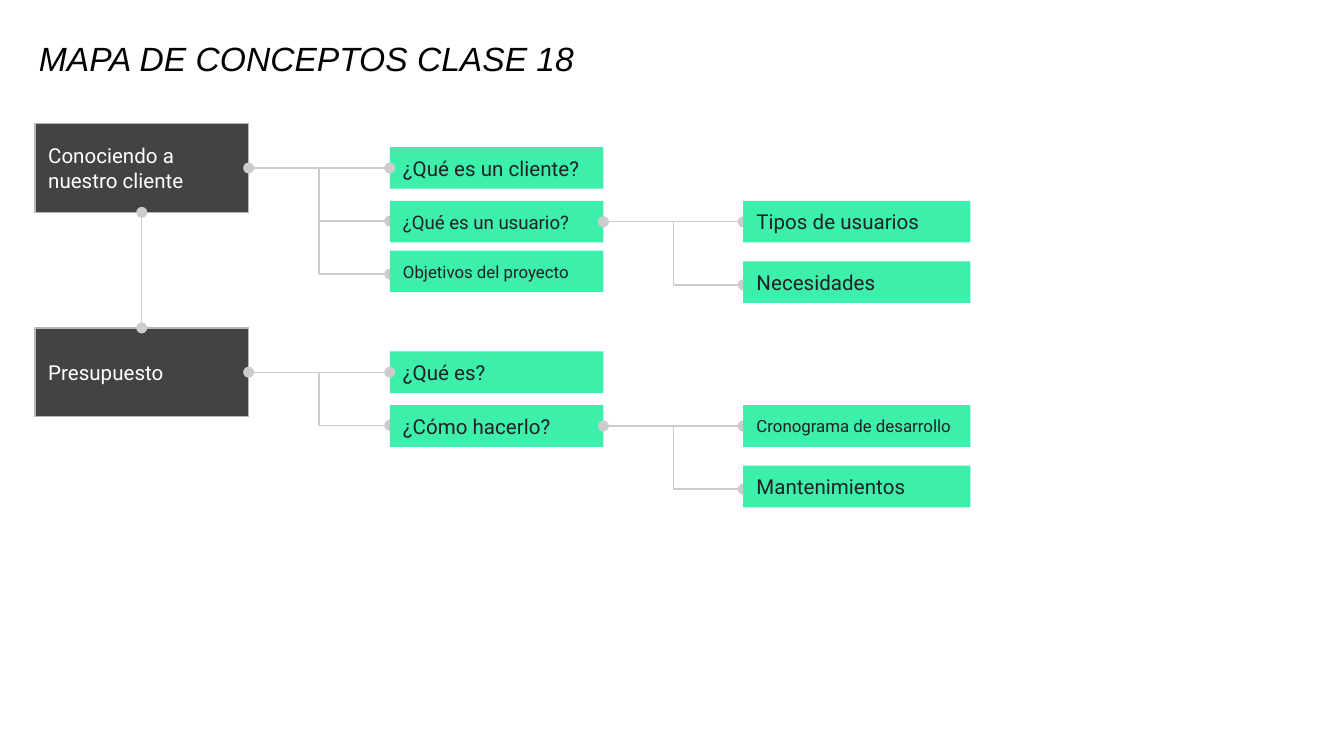
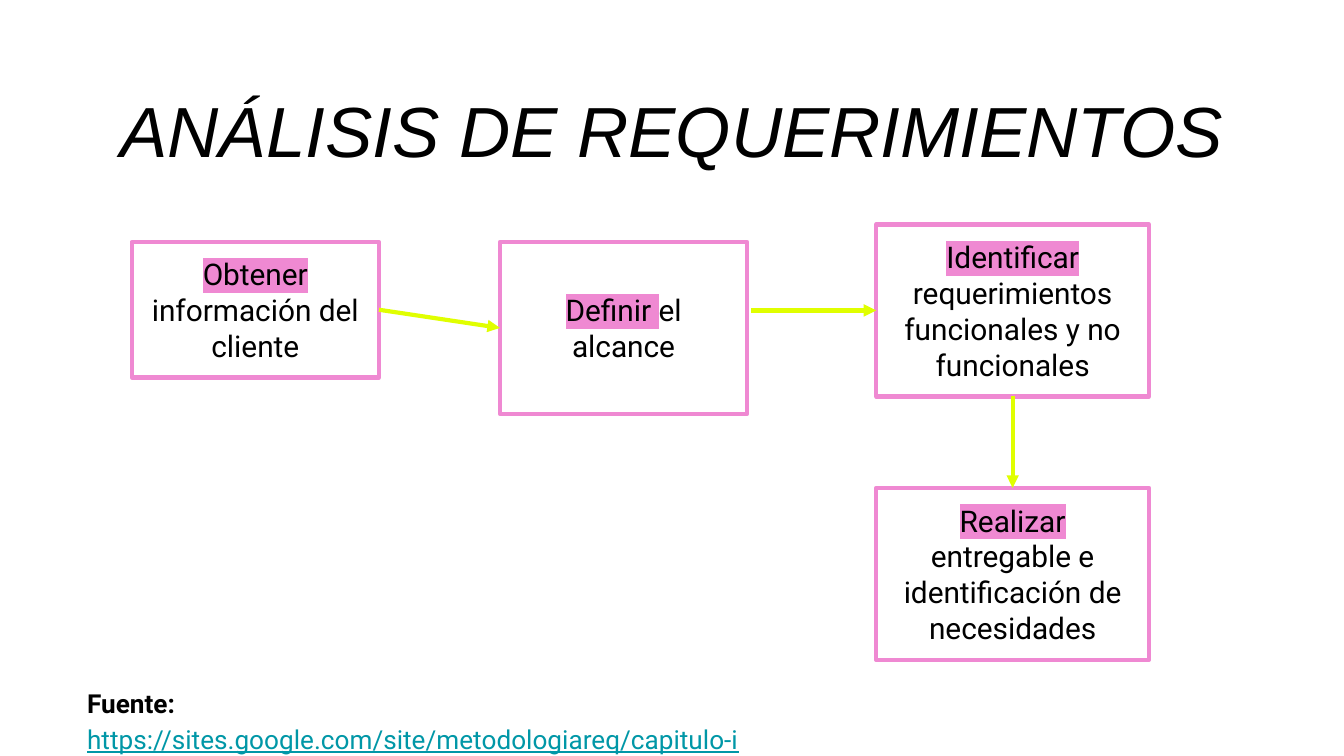
from dataclasses import dataclass

from lxml.etree import SubElement
from pptx import Presentation
from pptx.dml.color import RGBColor
from pptx.enum.shapes import MSO_CONNECTOR as Link, MSO_SHAPE as Shape
from pptx.enum.text import MSO_ANCHOR as Anchor, MSO_AUTO_SIZE as AutoSize, PP_ALIGN as Align
from pptx.oxml.ns import qn
from pptx.util import Inches, Pt


@dataclass(frozen=True)
class Theme:
    title_font: str = "Arial"
    body_font: str = "Roboto"
    black: str = "000000"
    white: str = "FFFFFF"
    topic: str = "434343"
    topic_edge: str = "B7B7B7"
    concept: str = "3CEFAB"
    concept_ink: str = "222222"
    branch: str = "CCCCCC"
    step: str = "EF89D2"
    arrow: str = "E0FF00"
    url: str = "0097A7"
    thin: float = 0.75
    thick: float = 2.25
    map_title: int = 18
    process_title: int = 38
    map_text: int = 11
    step_text: int = 16
    source_text: int = 14
    inset: float = 0.1


THEME = Theme()
WIDTH = 10
HEIGHT = WIDTH * 9 / 16

MAP_TITLE = "MAPA DE CONCEPTOS CLASE 18"
TOPICS = [
    ("Conociendo a nuestro cliente", [
        ("¿Qué es un cliente?", 11, []),
        ("¿Qué es un usuario?", 10, [("Tipos de usuarios", 11), ("Necesidades", 11)]),
        ("Objetivos del proyecto", 9, []),
    ]),
    ("Presupuesto", [
        ("¿Qué es?", 11, []),
        ("¿Cómo hacerlo?", 11, [("Cronograma de desarrollo", 9), ("Mantenimientos", 11)]),
    ]),
]
TOPIC_X, CONCEPT_X, DETAIL_X = 0.26, 2.9, 5.53
TOPIC_W, DETAIL_W = 1.59, 1.69
TOPIC_H, CONCEPT_H = 0.66, 0.31
FIRST_AXIS, TOPIC_PITCH = 1.25, 1.52
CONCEPT_DROPS, CONCEPT_LINE_PITCH = (0, 0.4, 0.77), 0.79 / 2
DETAIL_PITCH, DETAIL_LINE_PITCH = 0.45, 0.47

PROCESS_TITLE = "ANÁLISIS DE REQUERIMIENTOS"
STEPS = [
    ("Obtener ", "información del cliente", (0.98, 1.8, 1.84, 1.01)),
    ("Definir ", "el alcance", (3.72, 1.8, 1.84, 1.28)),
    ("Identificar ", "requerimientos funcionales y no funcionales", (6.52, 1.67, 2.03, 1.28)),
    ("Realizar", " entregable e identificación de necesidades", (6.52, 3.63, 2.03, 1.28)),
]
SOURCE = ("Fuente: ", "https://sites.google.com/site/metodologiareq/capitulo-i")
TOP, LEFT, BOTTOM, RIGHT = range(4)


def rgb(code):
    return RGBColor.from_string(code)


def style(run, size, color, font=THEME.body_font):
    run.font.size = Pt(size)
    run.font.name = font
    run.font.color.rgb = rgb(color)
    return run.font


def highlight(run, color):
    mark = SubElement(run.font._element, qn("a:highlight"))
    SubElement(mark, qn("a:srgbClr")).set("val", color)
    run.font._element.find(qn("a:solidFill")).addnext(mark)


def prepare(frame, anchor):
    frame.word_wrap = True
    frame.auto_size = AutoSize.NONE
    frame.vertical_anchor = anchor
    frame.margin_left = frame.margin_right = Inches(THEME.inset)
    frame.margin_top = frame.margin_bottom = Inches(THEME.inset)
    return frame


def add_titled_slide(deck, wording, place, size, align, spacing=1.0):
    slide = deck.slides.add_slide(deck.slide_layouts[5])
    title = slide.shapes.title
    title.left, title.top, title.width, title.height = map(Inches, place)
    frame = prepare(title.text_frame, Anchor.BOTTOM)
    frame.text = wording
    paragraph = frame.paragraphs[0]
    paragraph.alignment = align
    paragraph.line_spacing = spacing
    style(paragraph.runs[0], size, THEME.black, THEME.title_font).italic = True
    return slide


def add_box(slide, place, fill=None, edge=None, weight=THEME.thin):
    box = slide.shapes.add_shape(Shape.RECTANGLE, *map(Inches, place))
    box.shadow.inherit = False
    if fill:
        box.fill.solid()
        box.fill.fore_color.rgb = rgb(fill)
    else:
        box.fill.background()
    if edge:
        box.line.color.rgb = rgb(edge)
        box.line.width = Pt(weight)
    else:
        box.line.fill.background()
    prepare(box.text_frame, Anchor.MIDDLE)
    return box


def add_label(slide, wording, left, axis, width, height, size, ink, fill, edge=None):
    box = add_box(slide, (left, axis - height / 2, width, height), fill, edge)
    box.text_frame.text = wording
    paragraph = box.text_frame.paragraphs[0]
    paragraph.alignment = Align.LEFT
    style(paragraph.runs[0], size, ink)


def add_link(slide, start, end, color, weight, tail, head=None, kind=Link.STRAIGHT):
    link = slide.shapes.add_connector(kind, *map(Inches, (*start, *end)))
    link.line.color.rgb = rgb(color)
    link.line.width = Pt(weight)
    properties = link._element.spPr
    for tag, ending in (("a:headEnd", head), ("a:tailEnd", tail)):
        if ending:
            SubElement(properties.find(qn("a:ln")), qn(tag)).set("type", ending)
    SubElement(properties, qn("a:effectLst"))
    return link


def add_branch(slide, start, end):
    straight = start[1] == end[1]
    add_link(slide, start, end, THEME.branch, THEME.thin, "oval",
             "oval" if straight else None, Link.STRAIGHT if straight else Link.ELBOW)


def add_concept(slide, wording, size, left, axis, width):
    add_label(slide, wording, left, axis, width, CONCEPT_H, size, THEME.concept_ink, THEME.concept)


def add_concepts(slide, concepts, topic_axis):
    for row, (wording, size, details) in enumerate(concepts):
        axis = topic_axis + CONCEPT_DROPS[row]
        ends = (TOPIC_X + TOPIC_W, topic_axis), (CONCEPT_X, topic_axis + row * CONCEPT_LINE_PITCH)
        if row:
            add_branch(slide, *ends)
        add_concept(slide, wording, size, CONCEPT_X, axis, TOPIC_W)
        if not row:
            add_branch(slide, *ends)
        for rank, (detail, detail_size) in enumerate(details):
            add_branch(slide, (CONCEPT_X + TOPIC_W, axis), (DETAIL_X, axis + rank * DETAIL_LINE_PITCH))
            add_concept(slide, detail, detail_size, DETAIL_X, axis + rank * DETAIL_PITCH, DETAIL_W)


def build_map(deck):
    slide = add_titled_slide(deck, MAP_TITLE, (0.19, 0.22, 8.26, 0.46), THEME.map_title, Align.LEFT)
    axes = [FIRST_AXIS + row * TOPIC_PITCH for row in range(len(TOPICS))]
    for axis, (topic, concepts) in zip(axes, TOPICS):
        add_label(slide, topic, TOPIC_X, axis, TOPIC_W, TOPIC_H, THEME.map_text,
                  THEME.white, THEME.topic, THEME.topic_edge)
        add_concepts(slide, concepts, axis)
    middle = TOPIC_X + TOPIC_W / 2
    for upper, lower in zip(axes, axes[1:]):
        add_link(slide, (middle, upper + TOPIC_H / 2), (middle, lower - TOPIC_H / 2),
                 THEME.branch, THEME.thin, "oval", "oval")


def add_step(slide, verb, rest, place):
    box = add_box(slide, place, edge=THEME.step, weight=THEME.thick)
    paragraph = box.text_frame.paragraphs[0]
    paragraph.alignment = Align.CENTER
    for wording in (verb, rest):
        run = paragraph.add_run()
        run.text = wording
        style(run, THEME.step_text, THEME.black)
    highlight(paragraph.runs[0], THEME.step)
    return box


def add_source(slide):
    note = slide.shapes.add_textbox(*map(Inches, (0.55, 4.98, 5.63, 0.43)))
    paragraph = prepare(note.text_frame, Anchor.TOP).paragraphs[0]
    paragraph.alignment = Align.JUSTIFY
    paragraph.line_spacing = 1.15
    for wording, color in zip(SOURCE, (THEME.black, THEME.url)):
        run = paragraph.add_run()
        run.text = wording
        style(run, THEME.source_text, color)
    label, address = paragraph.runs
    label.font.bold = True
    address.font.underline = True


def build_process(deck):
    slide = add_titled_slide(deck, PROCESS_TITLE, (0.62, 0.59, 8.76, 0.79),
                             THEME.process_title, Align.CENTER, 1.15)
    add_source(slide)
    obtain, define, identify, deliver = [add_step(slide, *step) for step in STEPS]
    for origin, leaving, target, entering in (
        (obtain, RIGHT, define, LEFT),
        (None, None, identify, LEFT),
        (identify, BOTTOM, deliver, TOP),
    ):
        arrow = add_link(slide, (5.59, 2.31), (6.52, 2.31), THEME.arrow, THEME.thick, "triangle")
        if origin:
            arrow.begin_connect(origin, leaving)
        arrow.end_connect(target, entering)


def main():
    deck = Presentation()
    deck.slide_width, deck.slide_height = Inches(WIDTH), Inches(HEIGHT)
    build_map(deck)
    build_process(deck)
    deck.save("out.pptx")


if __name__ == "__main__":
    main()
